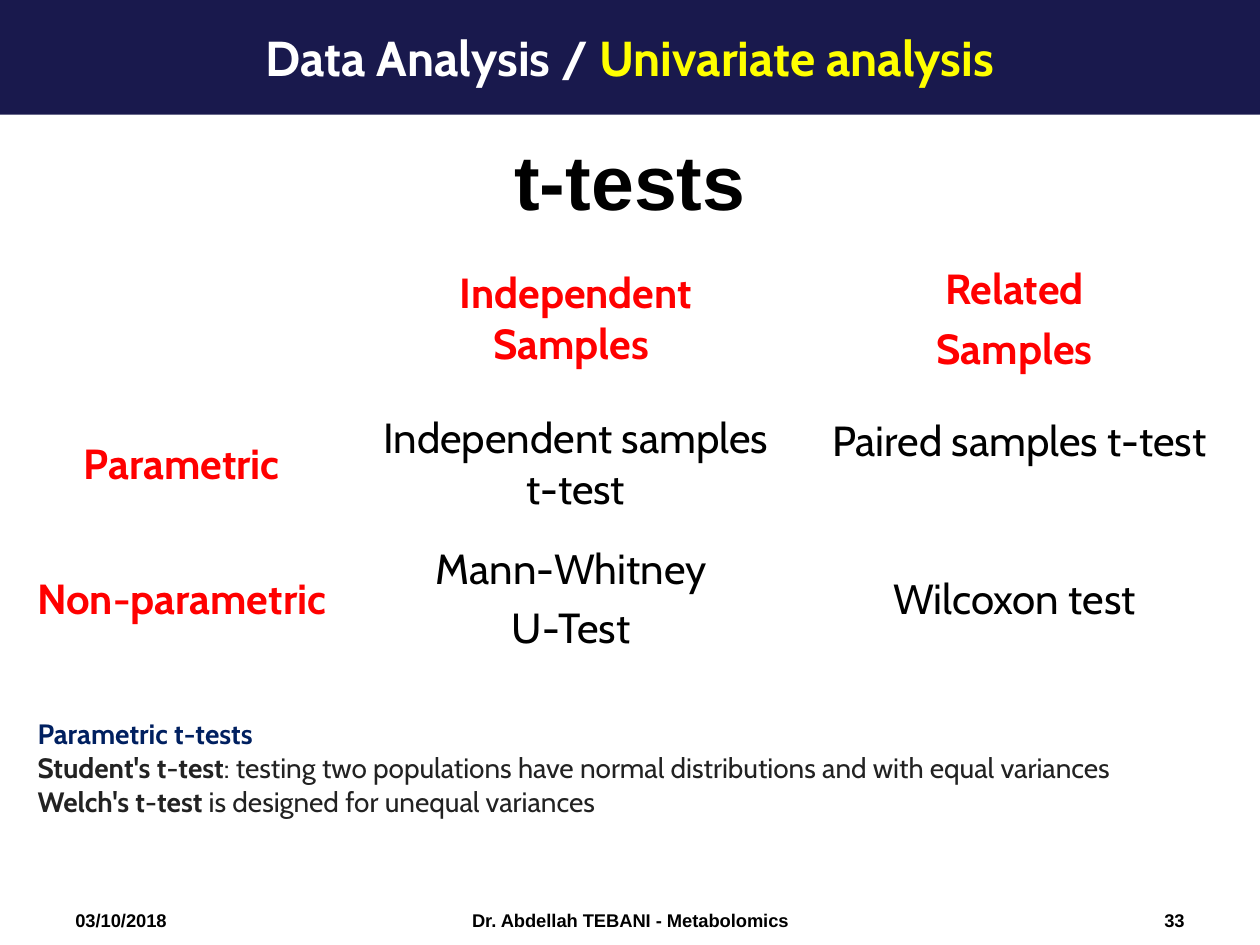
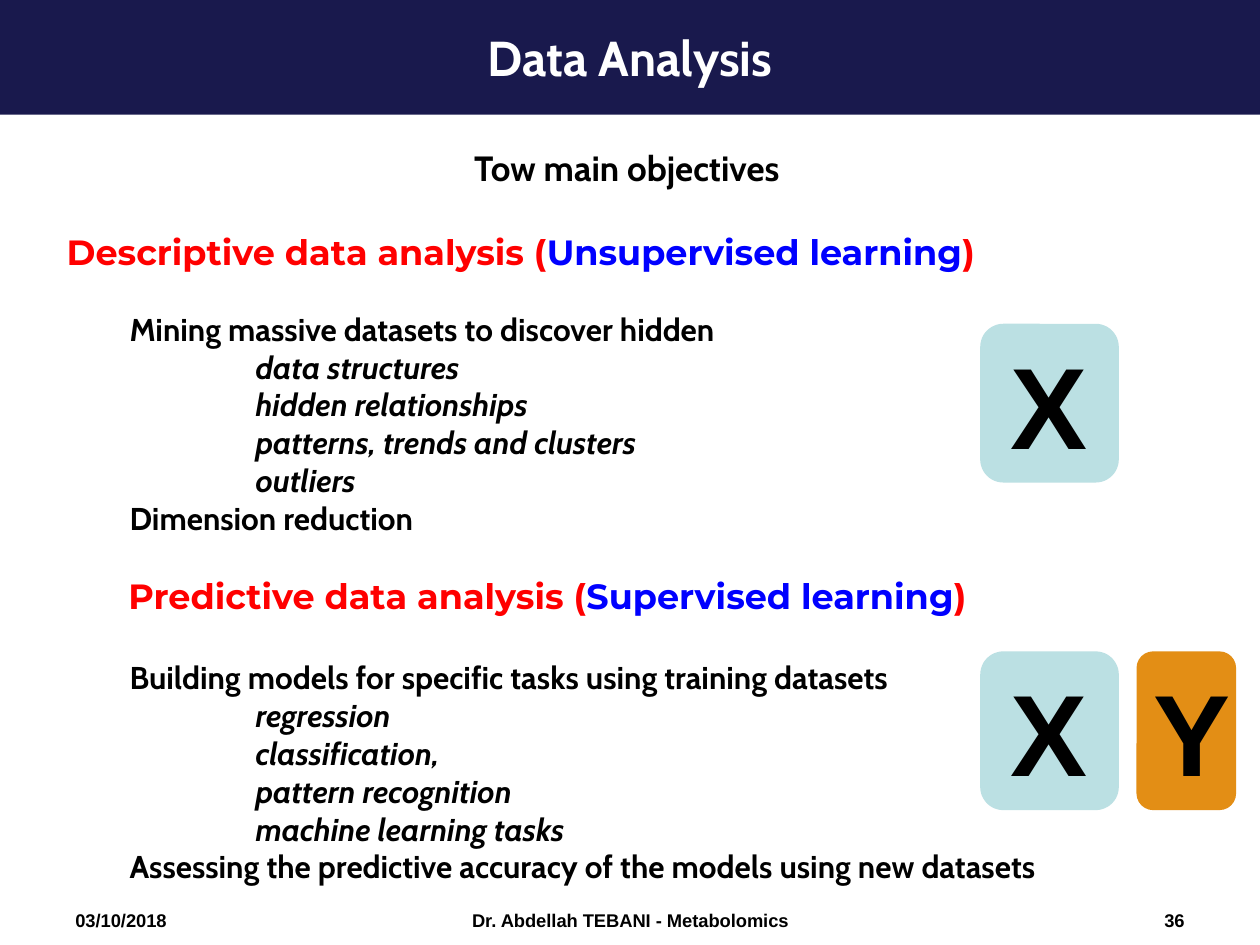
from dataclasses import dataclass
from typing import Any

from pptx import Presentation
from pptx.dml.color import RGBColor
from pptx.enum.shapes import MSO_SHAPE
from pptx.enum.text import MSO_ANCHOR, PP_ALIGN
from pptx.util import Emu, Pt

LEFT, CENTER, RIGHT = PP_ALIGN.LEFT, PP_ALIGN.CENTER, PP_ALIGN.RIGHT
TOP, MIDDLE = MSO_ANCHOR.TOP, MSO_ANCHOR.MIDDLE
RECTANGLE, ROUNDED = MSO_SHAPE.RECTANGLE, MSO_SHAPE.ROUNDED_RECTANGLE
EMU_PER_PX = 9144


def px(length: int) -> Emu:
    return Emu(length * EMU_PER_PX)


@dataclass(frozen=True)
class Theme:
    navy: str = "19194D"
    white: str = "FFFFFF"
    black: str = "000000"
    yellow: str = "FFFF00"
    red: str = "FF0000"
    blue: str = "0000FF"
    deep_blue: str = "002060"
    charcoal: str = "222222"
    pale_teal: str = "BBE0E3"
    orange: str = "E38E15"
    arial: str = "Arial"
    cabin: str = "Cabin"
    montserrat: str = "Montserrat"
    footer: float = 10.5
    note: int = 16
    body: int = 18
    objective: int = 20
    cell: int = 24
    band: int = 28
    heading: int = 44
    letter: int = 66


THEME = Theme()


@dataclass(frozen=True)
class Span:
    text: str
    size: float
    color: str = THEME.black
    name: str = THEME.cabin
    bold: bool = True
    italic: bool = False


@dataclass(frozen=True)
class Para:
    spans: tuple[Span, ...]
    align: Any = LEFT
    before: float = 0
    indent: int = 0


@dataclass(frozen=True)
class Area:
    left: int
    top: int
    width: int
    height: int

    def emu(self) -> tuple[Emu, ...]:
        return tuple(px(n) for n in (self.left, self.top, self.width, self.height))


@dataclass(frozen=True)
class Tile:
    letter: str
    area: Area
    color: str


BAND = Area(0, 0, 1000, 91)
FOOTER_DATE = Area(50, 717, 233, 52)
FOOTER_AUTHOR = Area(342, 717, 317, 52)
FOOTER_NUMBER = Area(717, 717, 233, 52)

TABLE_AREA = Area(2, 196, 996, 329)
COLUMN_WIDTHS = (292, 326, 378)
ROW_HEIGHTS = (115, 115, 99)
TEST_GRID = (
    ((), ("Independent Samples ",), ("Related ", "Samples ")),
    (("Parametric ",), ("Independent samples t-test",), ("Paired samples t-test",)),
    (("Non-parametric ",), ("Mann-Whitney ", "U-Test "), ("Wilcoxon test ",)),
)
PAIRED_CELL = (1, 2)
PAIRED_BOTTOM_MARGIN = 41

TILES = (
    Tile("X", Area(778, 257, 110, 126), THEME.pale_teal),
    Tile("X", Area(778, 517, 110, 126), THEME.pale_teal),
    Tile("Y", Area(902, 517, 79, 126), THEME.orange),
)


def write_paras(frame: Any, paras: list[Para], anchor: Any = TOP) -> None:
    frame.word_wrap = True
    frame.vertical_anchor = anchor
    for index, item in enumerate(paras):
        para = frame.paragraphs[0] if index == 0 else frame.add_paragraph()
        para.alignment = item.align
        if item.before:
            para.space_before = Pt(item.before)
        if item.indent:
            para._p.get_or_add_pPr().set("marL", str(px(item.indent)))
        for span in item.spans:
            run = para.add_run()
            run.text = span.text
            values = {
                "name": span.name,
                "size": Pt(span.size),
                "bold": span.bold,
                "italic": span.italic,
            }
            for key, value in values.items():
                setattr(run.font, key, value)
            run.font.color.rgb = RGBColor.from_string(span.color)


def add_text(page: Any, area: Area, paras: list[Para], anchor: Any = TOP) -> None:
    box = page.shapes.add_textbox(*area.emu())
    write_paras(box.text_frame, paras, anchor)


def add_block(page: Any, kind: Any, area: Area, color: str, spans: tuple[Span, ...]) -> None:
    shape = page.shapes.add_shape(kind, *area.emu())
    shape.shadow.inherit = False
    shape.fill.solid()
    shape.fill.fore_color.rgb = RGBColor.from_string(color)
    shape.line.fill.background()
    write_paras(shape.text_frame, [Para(spans, CENTER)], MIDDLE)


def add_page(deck: Any, number: str, *title: Span) -> Any:
    page = deck.slides.add_slide(deck.slide_layouts[6])
    footers = (
        (FOOTER_DATE, "03/10/2018", LEFT),
        (FOOTER_AUTHOR, "Dr. Abdellah TEBANI - Metabolomics", CENTER),
        (FOOTER_NUMBER, number, RIGHT),
    )
    for area, text, align in footers:
        span = Span(text, THEME.footer, name=THEME.arial)
        add_text(page, area, [Para((span,), align)])
    add_block(page, RECTANGLE, BAND, THEME.navy, title)
    return page


def add_test_table(page: Any) -> None:
    table = page.shapes.add_table(len(ROW_HEIGHTS), len(COLUMN_WIDTHS), *TABLE_AREA.emu()).table
    table.first_row = table.horz_banding = False
    for column, width in zip(table.columns, COLUMN_WIDTHS):
        column.width = px(width)
    for row, height in zip(table.rows, ROW_HEIGHTS):
        row.height = px(height)
    for row_index, row_texts in enumerate(TEST_GRID):
        for column_index, lines in enumerate(row_texts):
            cell = table.cell(row_index, column_index)
            cell.fill.solid()
            cell.fill.fore_color.rgb = RGBColor.from_string(THEME.white)
            cell.vertical_anchor = MIDDLE
            header = row_index == 0 or column_index == 0
            color = THEME.red if header else THEME.black
            paras = [
                Para((Span(line, THEME.cell, color, bold=header),), CENTER, 5 if index else 0)
                for index, line in enumerate(lines)
            ]
            write_paras(cell.text_frame, paras, MIDDLE)
    table.cell(*PAIRED_CELL).margin_bottom = px(PAIRED_BOTTOM_MARGIN)


def test_note(person: str, meaning: str) -> Para:
    parts = ((f"{person}'s t", True), ("-", False), ("test", True), (meaning, False))
    return Para(tuple(Span(text, THEME.note, THEME.charcoal, bold=bold) for text, bold in parts))


def build_t_tests(deck: Any) -> None:
    page = add_page(
        deck,
        "33",
        Span("Data Analysis / ", THEME.band, THEME.white),
        Span("Univariate analysis", THEME.band, THEME.yellow),
    )
    heading = Span("t-tests", THEME.heading, name=THEME.arial)
    add_text(page, Area(50, 80, 900, 125), [Para((heading,), CENTER)], MIDDLE)
    add_test_table(page)
    notes = [
        Para((Span("Parametric t-tests", THEME.note, THEME.deep_blue),)),
        test_note(
            "Student",
            ": testing two populations have normal distributions and with equal variances",
        ),
        test_note("Welch", " is designed for unequal variances"),
    ]
    add_text(page, Area(20, 564, 969, 91), notes)


def objective(kind: str, learning: str, before: float, indent: int = 0) -> Para:
    parts = (
        (f"{kind} data analysis (", THEME.red),
        (f"{learning} learning", THEME.blue),
        (")", THEME.red),
    )
    spans = tuple(Span(text, THEME.objective, color, THEME.montserrat) for text, color in parts)
    return Para(spans, before=before, indent=indent)


def goals(before: float, opening: str, examples: tuple[str, ...], closing: str) -> list[Para]:
    return [
        Para((Span(opening, THEME.body),), before=before, indent=50),
        *(Para((Span(text, THEME.body, italic=True),), indent=150) for text in examples),
        Para((Span(closing, THEME.body),), indent=50),
    ]


def build_objectives(deck: Any) -> None:
    page = add_page(deck, "36", Span("Data Analysis", THEME.band, THEME.white))
    paras = [
        Para((Span("Tow main objectives", THEME.objective),), CENTER),
        objective("Descriptive", "Unsupervised", 24),
        *goals(
            21.6,
            "Mining massive datasets to discover hidden",
            (
                "data structures",
                "hidden relationships",
                "patterns, trends and clusters",
                "outliers",
            ),
            "Dimension reduction",
        ),
        objective("Predictive", "Supervised", 21.6, 49),
        *goals(
            24,
            "Building models for specific tasks using training datasets",
            (
                "regression",
                "classification,",
                "pattern recognition",
                "machine learning tasks",
            ),
            "Assessing the predictive accuracy of the models using new datasets",
        ),
    ]
    add_text(page, Area(43, 111, 909, 633), paras)
    for tile in TILES:
        letter = Span(tile.letter, THEME.letter, name=THEME.arial)
        add_block(page, ROUNDED, tile.area, tile.color, (letter,))


def main() -> None:
    deck = Presentation()
    deck.slide_width, deck.slide_height = px(1000), px(750)
    build_t_tests(deck)
    build_objectives(deck)
    deck.save("out.pptx")


if __name__ == "__main__":
    main()
